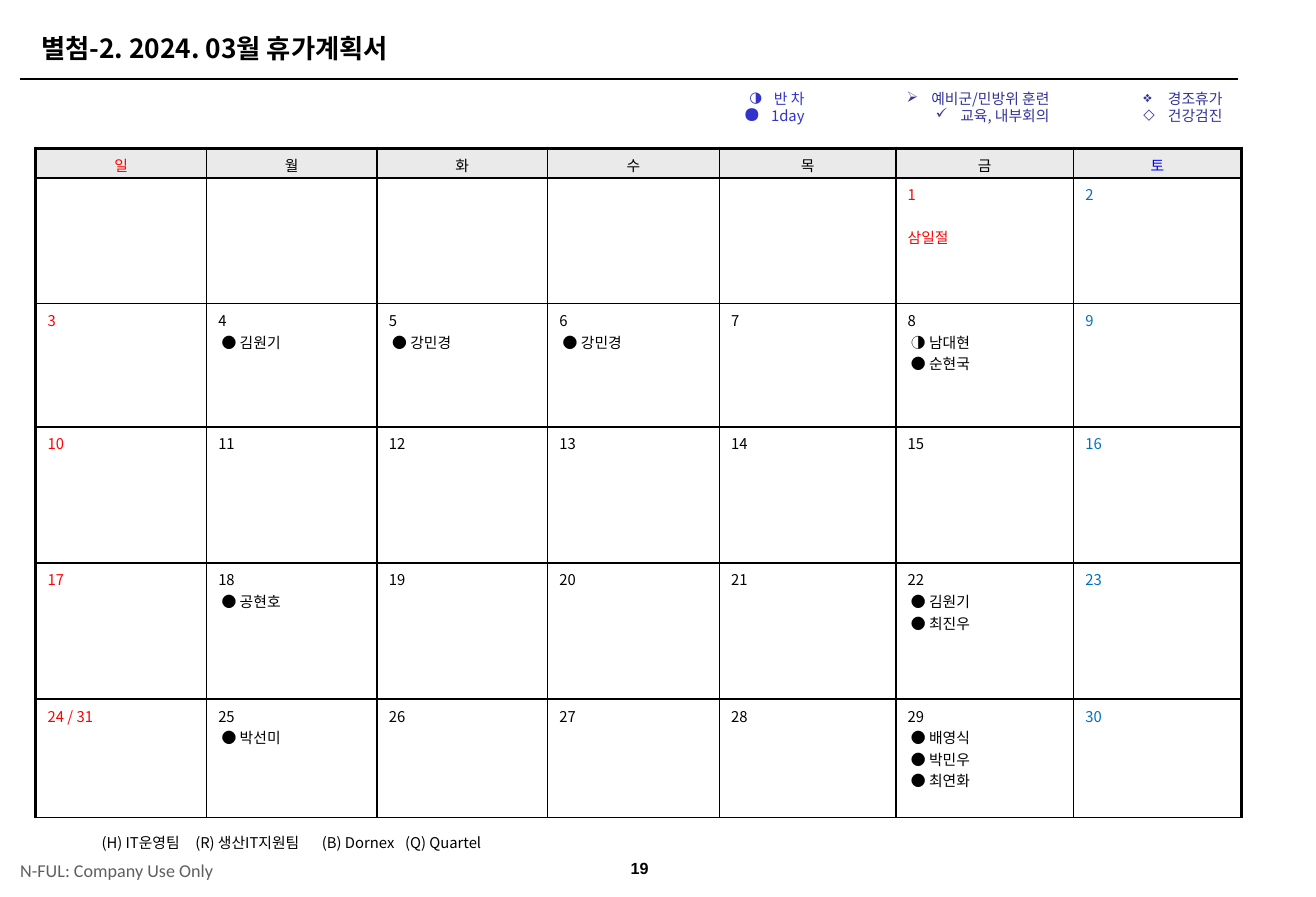
from lxml import etree
from pptx import Presentation
from pptx.dml.color import RGBColor
from pptx.enum import shapes, text
from pptx.oxml import ns
from pptx.util import Pt

KOREAN = "Noto Sans CJK KR"
BLACK, RED, BLUE = "000000", "FF0000", "0070C0"


def style(paragraph, size, color, font=KOREAN, bold=False):
    """Format every run, giving Hangul the same typeface as Latin text."""
    for run in paragraph.runs:
        run.font.size = Pt(size)
        run.font.bold = bold
        run.font.name = font
        run.font.color.rgb = RGBColor.from_string(color)
        etree.SubElement(run.font._element, ns.qn("a:ea"), typeface=font)


def add_box(left, top, width, height, lines, inset=0, anchor=text.MSO_ANCHOR.MIDDLE):
    frame = slide.shapes.add_textbox(Pt(left), Pt(top), Pt(width), Pt(height)).text_frame
    frame.text = "\n".join(lines)
    frame.word_wrap = True
    frame.vertical_anchor = anchor
    frame.margin_left = frame.margin_right = Pt(inset)
    frame.margin_top = frame.margin_bottom = Pt(inset / 2)
    return frame


presentation = Presentation()
presentation.slide_width, presentation.slide_height = Pt(800), Pt(545)
slide = presentation.slides.add_slide(presentation.slide_layouts[5])

# Title and rule
title = slide.shapes.title
title.left, title.top, title.width, title.height = Pt(18), Pt(16), Pt(713), Pt(26.5)
title.text_frame.text = "별첨-2. 2024. 03월 휴가계획서"
title.text_frame.auto_size = text.MSO_AUTO_SIZE.NONE
title.text_frame.vertical_anchor = text.MSO_ANCHOR.MIDDLE
title.text_frame.paragraphs[0].alignment = text.PP_ALIGN.LEFT
style(title.text_frame.paragraphs[0], 16, BLACK, bold=True)

rule = slide.shapes.add_connector(shapes.MSO_CONNECTOR.STRAIGHT, Pt(12.3), Pt(48), Pt(752.5), Pt(48))
rule.line.color.rgb = RGBColor.from_string(BLACK)
rule.line.width = Pt(1.5)
etree.SubElement(rule._element.spPr, ns.qn("a:effectLst"))

# Legend: left, width, colour, wrap, (bullet, bullet size, label)
legends = [
    (444.2, 52, "3333CC", False, [("◑", 100, "반 차"), ("●", 150, " 1day")]),
    (533.5, 111.5, "333399", True, [("➢", 100, "예비군/민방위 훈련"), ("✓", 100, "교육, 내부회의")]),
    (618.5, 131.7, "333399", True, [("❖", 100, "경조휴가"), ("◇", 100, "건강검진")]),
]
for left, width, color, wrap, entries in legends:
    frame = add_box(left, 52, width, 28.5, [label for _, _, label in entries], 7.2, text.MSO_ANCHOR.TOP)
    frame.word_wrap = wrap
    for paragraph, (bullet, bullet_size, _) in zip(frame.paragraphs, entries):
        properties = paragraph._p.get_or_add_pPr()
        properties.set("marL", str(Pt(15)))
        properties.set("indent", str(Pt(-15)))
        bullet_color = etree.SubElement(properties, ns.qn("a:buClr"))
        etree.SubElement(bullet_color, ns.qn("a:srgbClr"), val=color)
        etree.SubElement(properties, ns.qn("a:buSzPct"), val=str(bullet_size * 1000))
        etree.SubElement(properties, ns.qn("a:buChar"), char=bullet)
        paragraph.alignment = text.PP_ALIGN.RIGHT
        paragraph.line_spacing = 0.95
        style(paragraph, 9, color)

# Calendar
weekdays = "일월화수목금토"
column_widths = [103.7, 103.7, 103.7, 104.4, 107.3, 108, 102.2]
row_heights = [18, 76.3, 75, 82.7, 82.7, 72]
leave = {
    4: ["● 김원기"],
    5: ["● 강민경"],
    6: ["● 강민경"],
    8: ["◑ 남대현", "● 순현국"],
    18: ["● 공현호"],
    22: ["● 김원기", "● 최진우"],
    25: ["● 박선미"],
    29: ["● 배영식", "● 박민우", "● 최연화"],
}
calendar = slide.shapes.add_table(
    len(row_heights), len(weekdays), Pt(21.8), Pt(90), Pt(sum(column_widths)), Pt(sum(row_heights))
).table
calendar.first_row = calendar.horz_banding = False
for column, width in zip(calendar.columns, column_widths):
    column.width = Pt(width)
for row, height in zip(calendar.rows, row_heights):
    row.height = Pt(height)

for row in range(len(row_heights)):
    for column, weekday in enumerate(weekdays):
        cell = calendar.cell(row, column)
        borders = {"lnL": column == 0, "lnR": column == 6, "lnT": row == 0, "lnB": False}
        for side, thick in borders.items():
            line = etree.SubElement(
                cell._tc.get_or_add_tcPr(), ns.qn(f"a:{side}"), w=str(Pt(2 if thick else 1))
            )
            fill = etree.SubElement(line, ns.qn("a:solidFill"))
            etree.SubElement(fill, ns.qn("a:srgbClr"), val=BLACK)

        if row == 0:
            cell.fill.solid()
            cell.fill.fore_color.rgb = RGBColor.from_string("EAEAEA")
            cell.vertical_anchor = text.MSO_ANCHOR.MIDDLE
            cell.text_frame.text = weekday
            cell.text_frame.paragraphs[0].alignment = text.PP_ALIGN.CENTER
            style(cell.text_frame.paragraphs[0], 9, {0: RED, 6: "0000FF"}.get(column, BLACK))
            continue

        cell.fill.background()
        day = 7 * (row - 1) + column - 4
        if day < 1:
            continue
        label = "24 / 31" if day == 24 else str(day)
        names = [f" {name}" for name in leave.get(day, [])]
        holiday = ["삼일절"] if day == 1 else []
        cell.text_frame.text = "\n".join([label] + names + holiday)
        color = RED if column == 0 or holiday else BLUE if column == 6 else BLACK
        for paragraph in cell.text_frame.paragraphs:
            style(paragraph, 9, color)
        if holiday:
            cell.text_frame.paragraphs[1].space_before = Pt(13)

# Team key, set on tab stops
teams = add_box(61.7, 504, 243, 17.3, ["(H) IT운영팀\t(R) 생산IT지원팀\t(B) Dornex\t(Q) Quartel"])
team_line = teams.paragraphs[0]
tab_list = etree.SubElement(team_line._p.get_or_add_pPr(), ns.qn("a:tabLst"))
for position in (57, 134, 184.5):
    etree.SubElement(tab_list, ns.qn("a:tab"), pos=str(Pt(position)), algn="l")
team_line.line_spacing = 0.95
style(team_line, 9, BLACK)

# Footer
notice = add_box(12.3, 518, 138, 22, ["N-FUL: Company Use Only"])
style(notice.paragraphs[0], 11, "5F5F5F", "Calibri")
page_number = add_box(369.4, 516.2, 39, 22.3, ["19"])
page_number.paragraphs[0].alignment = text.PP_ALIGN.CENTER
style(page_number.paragraphs[0], 9.8, BLACK, "Arial", True)

presentation.save("out.pptx")
